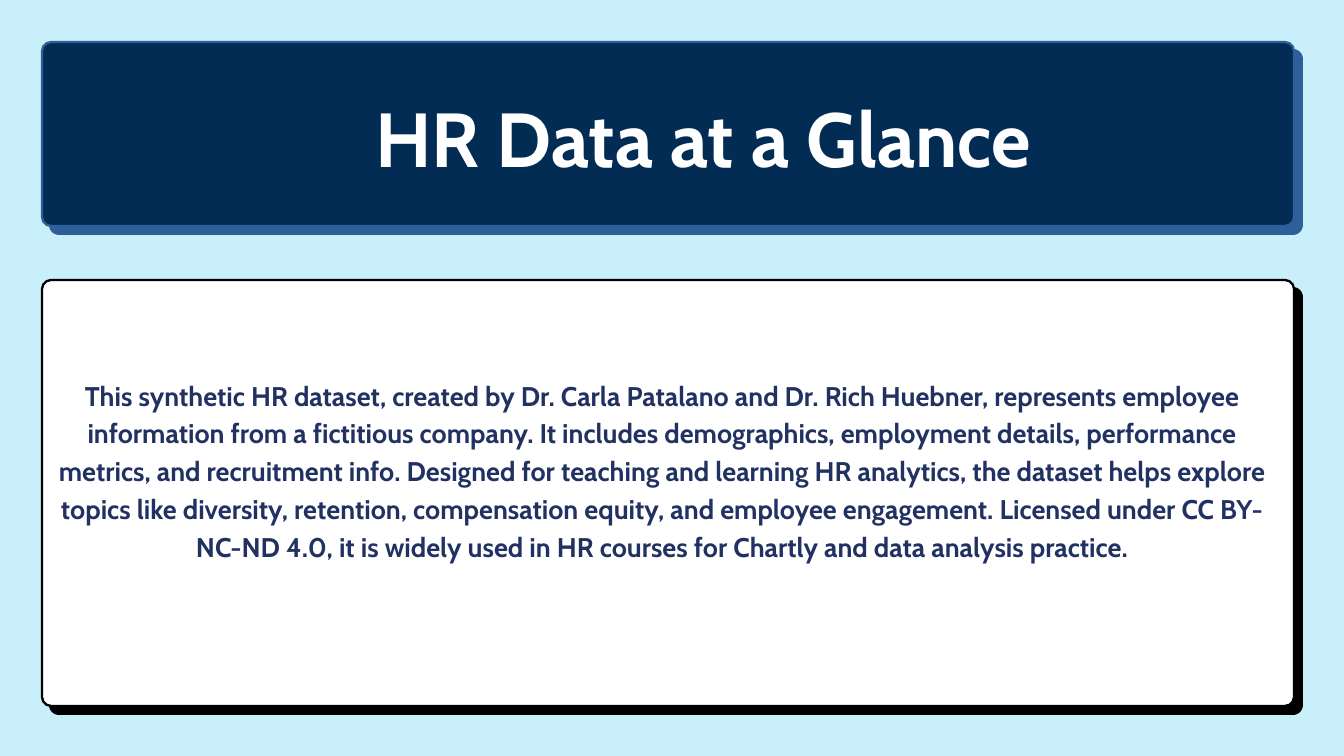
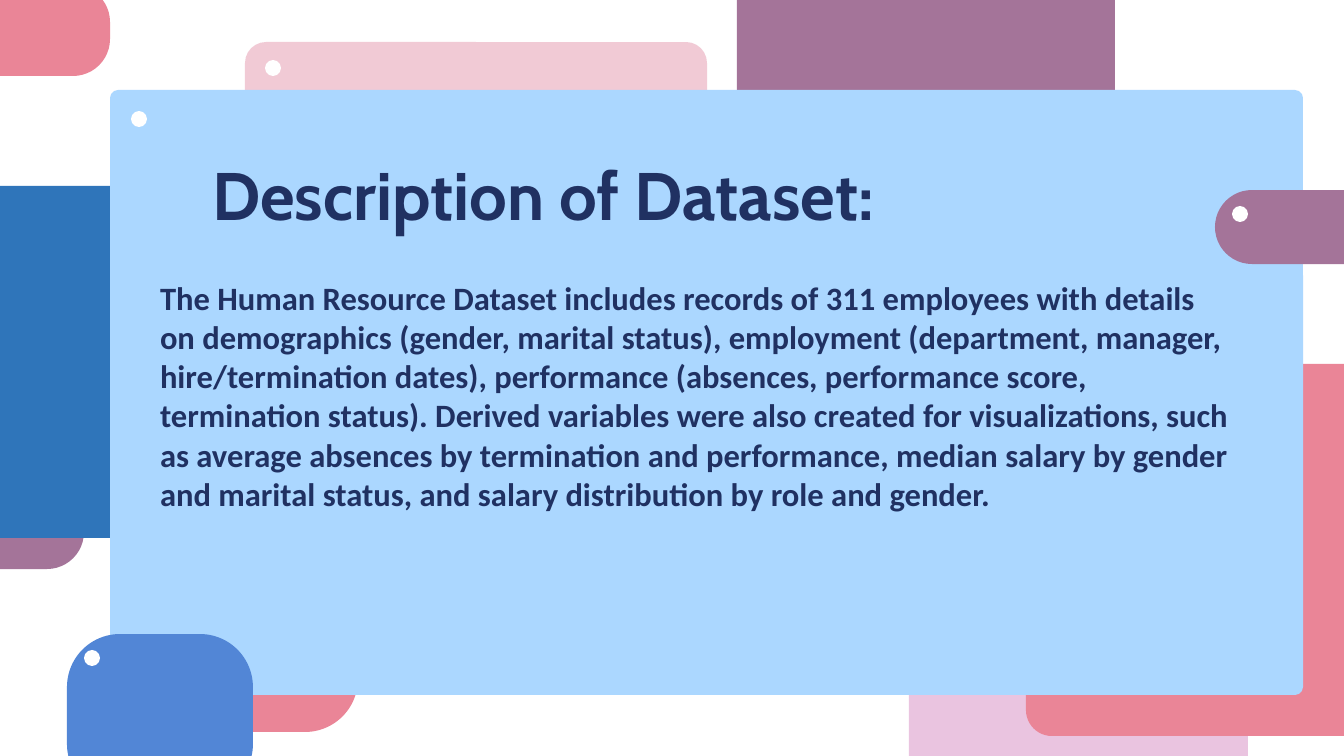
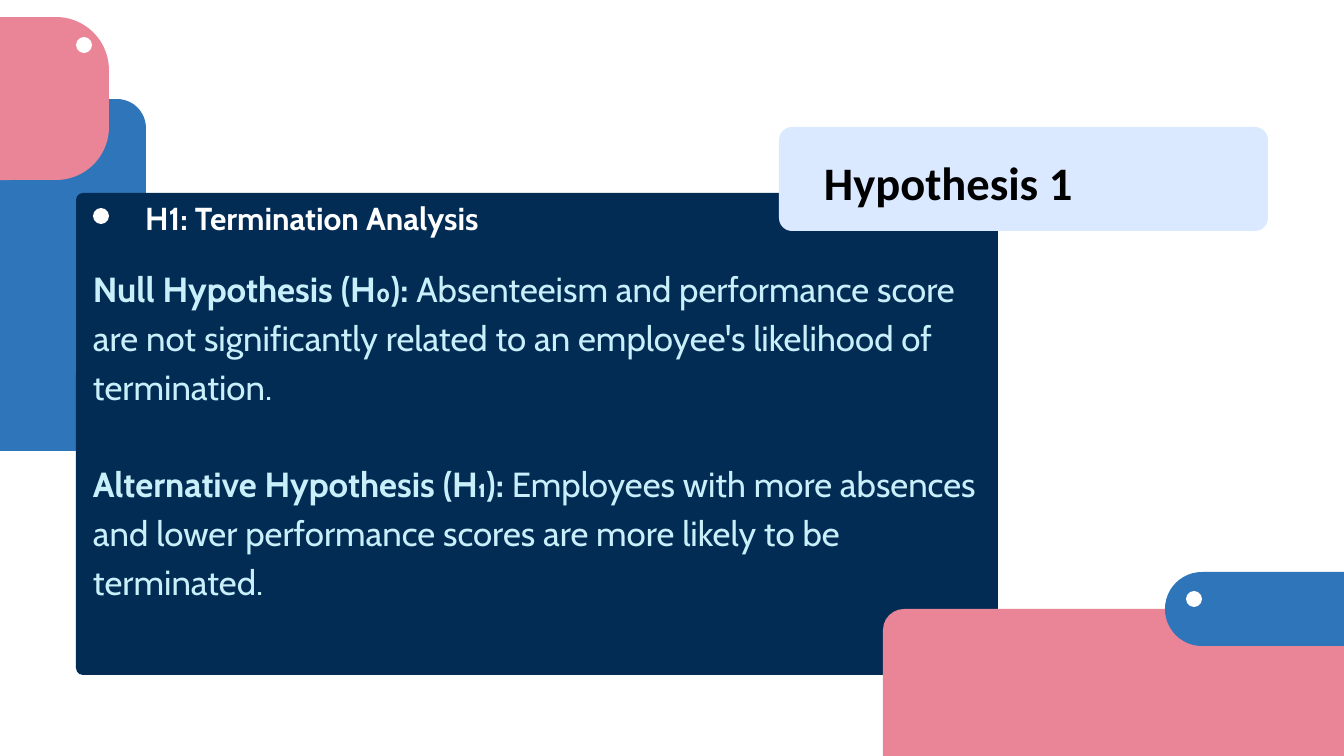
from lxml import etree
from pptx import Presentation
from pptx import util as u
from pptx.dml.color import RGBColor
from pptx.enum import shapes, text
from pptx.oxml import ns

EMU_PER_PX = 914400 / 67.2
SLIDE_W, SLIDE_H = 1344, 756
TITLE_AND_BODY = 1
DOT = 16
LEFT, CENTER = text.PP_ALIGN.LEFT, text.PP_ALIGN.CENTER

COLORS = {
    "ice": "C9F0FA", "white": "FFFFFF", "black": "000000", "navy": "032C55",
    "steel": "2F5F98", "ink": "203162", "plum": "A47499", "coral": "EA8597",
    "blue": "2F75BA", "lilac": "EAC4E0", "blush": "F1CAD5", "sky": "ABD7FF",
    "periwinkle": "5286D6", "mist": "DAE9FF",
}

# Decorative tiles: width, height, corner radius
TILES = {
    "pill": (268, 74, 37), "tab": (268, 91, 37), "blob": (186, 163, 53),
    "block": (339, 352, 29), "low block": (339, 257, 29),
    "square": (378, 372, 26), "low square": (378, 340, 26),
    "slab": (462, 294, 21),
}


def px(n):
    return u.Emu(round(n * EMU_PER_PX))


def rgb(name):
    return RGBColor.from_string(COLORS[name])


def add_slide(prs, background):
    s = prs.slides.add_slide(prs.slide_layouts[TITLE_AND_BODY])
    s.background.fill.solid()
    s.background.fill.fore_color.rgb = rgb(background)
    return s


def add_filled(s, kind, box, color):
    sp = s.shapes.add_shape(kind, *map(px, box))
    sp.shadow.inherit = False
    sp.fill.solid()
    sp.fill.fore_color.rgb = rgb(color)
    sp.line.fill.background()
    return sp


def add_panel(s, box, radius, color):
    sp = add_filled(s, shapes.MSO_SHAPE.ROUNDED_RECTANGLE, box, color)
    sp.adjustments[0] = radius / min(box[2:])
    return sp


def add_tiles(s, tiles):
    for kind, x, y, color in tiles:
        w, h, radius = TILES[kind]
        add_panel(s, (x, y, w, h), radius, color)


def add_dots(s, places):
    for x, y in places:
        add_filled(s, shapes.MSO_SHAPE.OVAL, (x, y, DOT, DOT), "white")


def add_card(s, box, color, edge):
    """Outlined panel with a solid shadow panel behind it, down and to the right."""
    x, y, w, h = box
    add_panel(s, (x + 7, y + 7, w + 2, h + 2), 10, edge)
    card = add_panel(s, box, 9, color)
    card.line.color.rgb = rgb(edge)
    card.line.width = u.Pt(2.5)


def write(sp, box, paragraphs, font, size, color, leading, align=LEFT, gap=0):
    """Fill a text shape; each paragraph is a list of (words, bold) runs."""
    sp.left, sp.top, sp.width, sp.height = map(px, box)
    tf = sp.text_frame
    tf.word_wrap = True
    tf.auto_size = text.MSO_AUTO_SIZE.NONE
    tf.vertical_anchor = text.MSO_ANCHOR.TOP
    tf.margin_left = tf.margin_top = tf.margin_right = tf.margin_bottom = 0
    for i, runs in enumerate(paragraphs):
        p = tf.add_paragraph() if i else tf.paragraphs[0]
        p.alignment = align
        p.line_spacing = u.Pt(leading)
        p.space_before = u.Pt(gap if i else 0)
        p.space_after = u.Pt(0)
        pPr = p._p.get_or_add_pPr()
        pPr.set("marL", "0")
        pPr.set("indent", "0")
        etree.SubElement(pPr, ns.qn("a:buNone"))
        for words, bold in runs:
            r = p.add_run()
            r.text = words
            r.font.name, r.font.size, r.font.bold = font, u.Pt(size), bold
            r.font.color.rgb = rgb(color)
    s_tree = sp.element.getparent()
    s_tree.append(sp.element)  # text stays in front of the panels


def build_intro(prs):
    s = add_slide(prs, "ice")
    add_card(s, (42, 42, 1252, 184), "navy", "steel")
    add_card(s, (42, 280, 1252, 426), "white", "black")
    write(s.shapes.title, (288, 76, 830, 103), [[("HR Data at a Glance", True)]],
          "Cabin", 82, "white", 114.8, CENTER)
    about = (
        "This synthetic HR dataset, created by Dr. Carla Patalano and Dr. Rich Huebner, "
        "represents employee information from a fictitious company. It includes demographics, "
        "employment details, performance metrics, and recruitment info. Designed for teaching "
        "and learning HR analytics, the dataset helps explore topics like diversity, retention, "
        "compensation equity, and employee engagement. Licensed under CC BY-NC-ND 4.0, it is "
        "widely used in HR courses for Chartly and data analysis practice."
    )
    write(s.placeholders[1], (56, 374, 1212, 222), [[(about, True)]],
          "Cabin", 28.9, "ink", 40.4, CENTER)


def build_description(prs):
    s = add_slide(prs, "white")
    add_tiles(s, [
        ("pill", -184, 495, "plum"),
        ("tab", -158, -15, "coral"),
        ("block", -30, 186, "blue"),
        ("low block", 909, 579, "lilac"),
        ("slab", 245, 42, "blush"),
        ("square", 1026, 364, "coral"),
        ("low square", 737, -45, "plum"),
        ("blob", 172, 569, "coral"),
    ])
    add_panel(s, (110, 90, 1193, 605), 8, "sky")
    add_tiles(s, [("pill", 1215, 190, "plum"), ("blob", 67, 634, "periwinkle")])
    add_dots(s, [(131, 111), (1232, 206), (84, 650), (265, 60)])
    write(s.shapes.title, (163, 140, 760, 90), [[("Description of Dataset:", True)]],
          "Cabin", 72, "ink", 100.9, CENTER)
    description = (
        "The Human Resource Dataset includes records of 311 employees with details on "
        "demographics (gender, marital status), employment (department, manager, "
        "hire/termination dates), performance (absences, performance score, termination "
        "status). Derived variables were also created for visualizations, such as average "
        "absences by termination and performance, median salary by gender and marital status, "
        "and salary distribution by role and gender."
    )
    write(s.placeholders[1], (160, 278, 1077, 314), [[(description, True)]],
          "Calibri", 34.9, "ink", 41.9)


def build_hypothesis(prs):
    s = add_slide(prs, "white")
    add_tiles(s, [("block", -193, 99, "blue")])
    add_panel(s, (76, 193, 922, 482), 7, "navy")
    add_panel(s, (779, 127, 489, 104), 13, "mist")
    add_tiles(s, [
        ("slab", 883, 609, "coral"),
        ("blob", -77, 17, "coral"),
        ("pill", 1165, 572, "blue"),
    ])
    add_dots(s, [(93, 208), (1186, 591), (76, 37)])
    write(s.shapes.title, (824, 149, 400, 59), [[("Hypothesis 1", True)]],
          "Calibri", 49.9, "black", 64.8)
    hypotheses = [
        [("Null Hypothesis (H₀): ", True),
         ("Absenteeism and performance score are not significantly related to an "
          "employee's likelihood of termination.", False)],
        [("Alternative Hypothesis (H₁): ", True),
         ("Employees with more absences and lower performance scores are more likely "
          "to be terminated.", False)],
    ]
    write(s.placeholders[1], (93, 261, 898, 337), hypotheses,
          "Cabin", 37.3, "ice", 52.2, gap=52.2)
    heading_box = (120, 192, 384, 42)
    write(s.shapes.add_textbox(*map(px, heading_box)), heading_box,
          [[("H1: Termination Analysis", True)]], "Cabin", 34, "white", 47.6, CENTER)


def main():
    prs = Presentation()
    prs.slide_width, prs.slide_height = px(SLIDE_W), px(SLIDE_H)
    build_intro(prs)
    build_description(prs)
    build_hypothesis(prs)
    prs.save("out.pptx")


if __name__ == "__main__":
    main()
